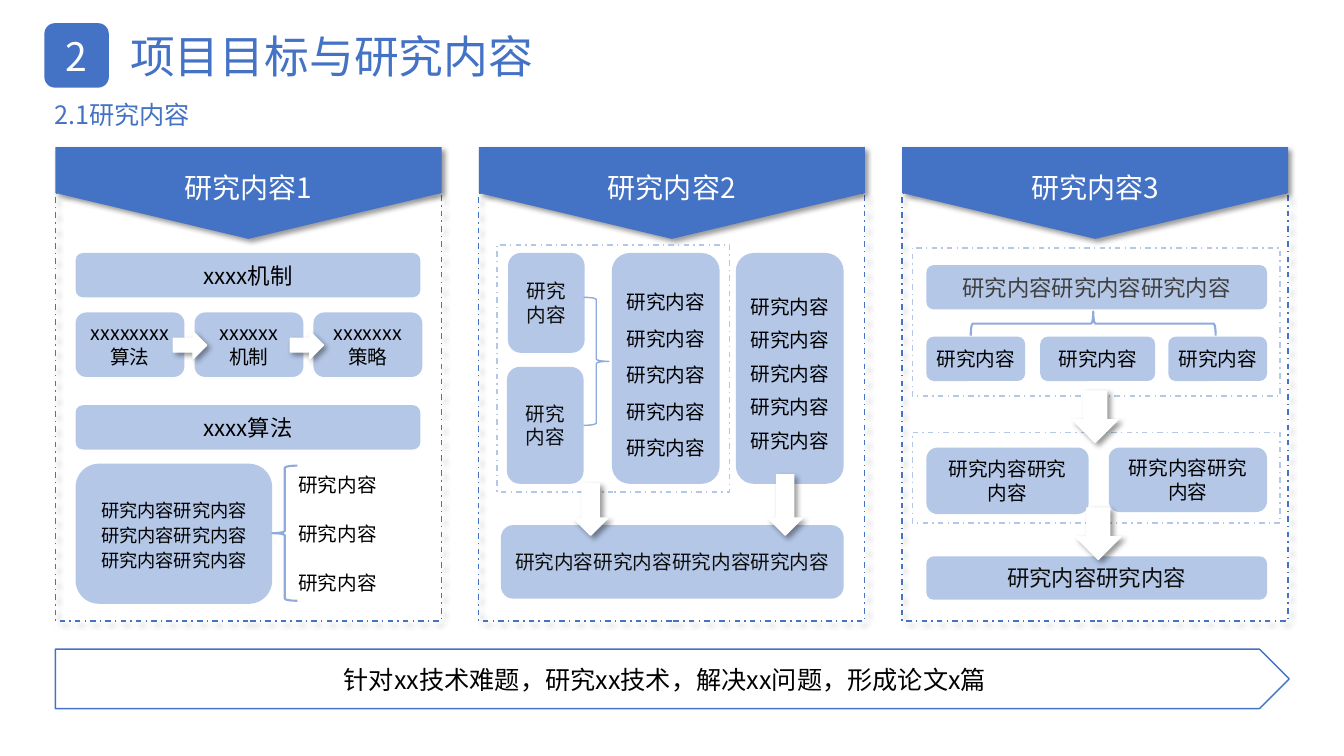
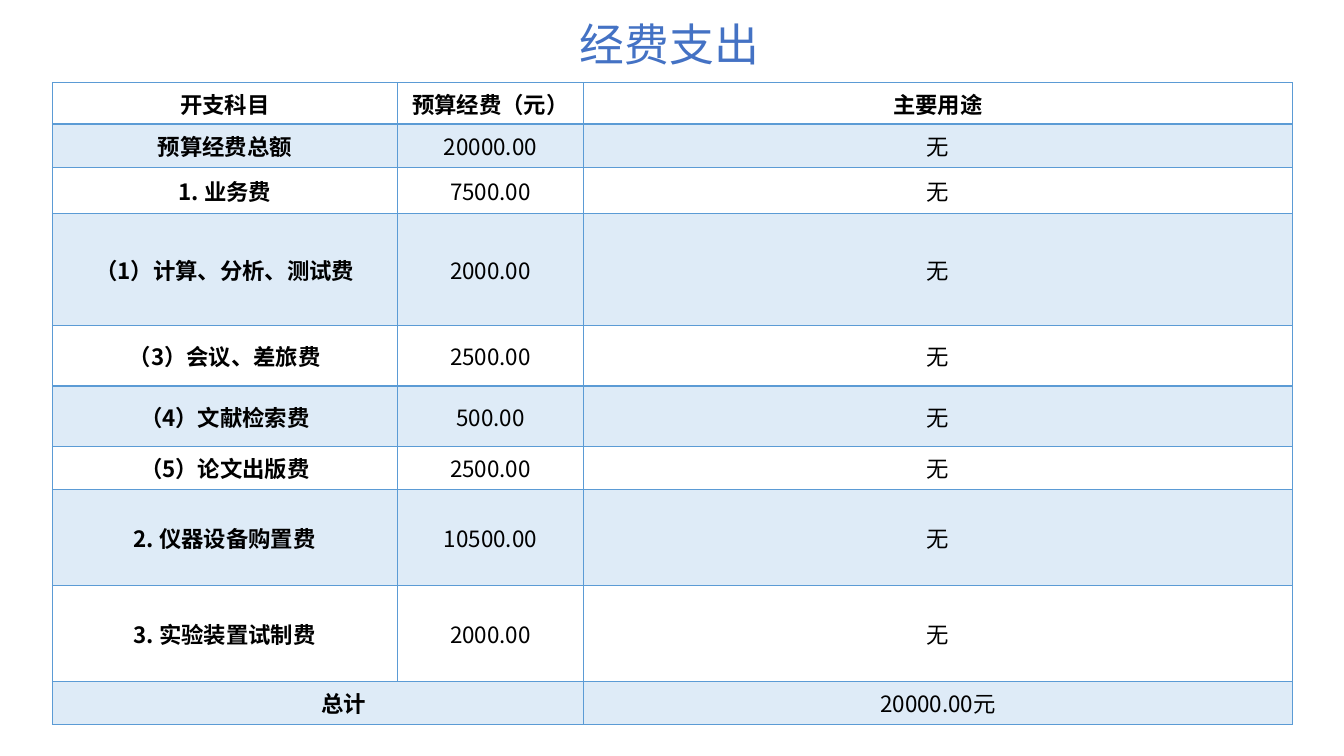
"""Build a research plan slide and a budget slide on a grid of tenth-inch cells."""
from dataclasses import dataclass
from typing import Optional

from lxml import etree
from pptx import Presentation
from pptx.dml.color import RGBColor
from pptx.enum.dml import MSO_LINE
from pptx.enum.shapes import MSO_SHAPE
from pptx.enum.text import MSO_ANCHOR, MSO_AUTO_SIZE, PP_ALIGN
from pptx.oxml.ns import qn
from pptx.util import Emu, Inches, Pt

COLORS = {
    "blue": "4472C4", "pale": "B4C7E7", "brace": "8FAADC", "border": "5B9BD5",
    "band": "DEEBF7", "white": "FFFFFF", "black": "000000", "soft": "0D0D0D", "gray": "404040",
}
FONT = "Noto Sans CJK SC"
GRID = Inches(0.1)
SLIDE_COLUMNS, SLIDE_ROWS = 133.33, 75
TITLE_ONLY = 5

RECTANGLE = MSO_SHAPE.RECTANGLE
ROUNDED = MSO_SHAPE.ROUNDED_RECTANGLE
PENTAGON = MSO_SHAPE.PENTAGON
RIGHT_ARROW, DOWN_ARROW = MSO_SHAPE.RIGHT_ARROW, MSO_SHAPE.DOWN_ARROW
LEFT_BRACE, RIGHT_BRACE = MSO_SHAPE.LEFT_BRACE, MSO_SHAPE.RIGHT_BRACE
DASH_DOT = MSO_LINE.DASH_DOT
MIDDLE = MSO_ANCHOR.MIDDLE
NO_AUTOFIT = MSO_AUTO_SIZE.NONE
LEFT, CENTER = PP_ALIGN.LEFT, PP_ALIGN.CENTER

PANEL_LEFT, PANEL_STEP, PANEL_COLUMNS = 5.5, 42, 38.3
TOPIC = "研究内容"


@dataclass(frozen=True)
class Box:
    """Visible area in grid columns and rows."""
    column: float
    row: float
    columns: float
    rows: float

    def shifted(self, columns: float) -> "Box":
        """Return the box moved right."""
        return Box(self.column + columns, self.row, self.columns, self.rows)


@dataclass(frozen=True)
class Text:
    """One run of text with its paragraph settings."""
    words: str
    size: float = 14
    color: str = "black"
    align: PP_ALIGN = CENTER
    bold: bool = False
    spacing: Optional[float] = None
    inset: float = 1
    indent: float = 0


@dataclass(frozen=True)
class Look:
    """Fill, outline and shadow of a shape."""
    fill: Optional[str] = None
    line: Optional[str] = None
    width: float = 1
    dashed: bool = False
    shadow: bool = False


@dataclass(frozen=True)
class Item:
    """A shape, or a text box when it has no kind."""
    kind: Optional[MSO_SHAPE]
    box: Box
    look: Look = Look()
    text: Optional[Text] = None
    rotation: int = 0


BLOCK = Look(fill="pale")
ARROW = Look(fill="white", line="white", shadow=True)
HEADER = Look(fill="blue", shadow=True)
FRAME = Look(line="blue", dashed=True, shadow=True)
SUBFRAME = Look(line="pale", dashed=True)
BRACE = Look(line="brace", width=1.5)


def grid(cells: float) -> Emu:
    """Convert grid cells to a length."""
    return Emu(round(cells * GRID))


def color(name: str) -> RGBColor:
    """Look up a named colour."""
    return RGBColor.from_string(COLORS[name])


def place(shape, box: Box) -> None:
    """Move and size a shape."""
    shape.left, shape.top = grid(box.column), grid(box.row)
    shape.width, shape.height = grid(box.columns), grid(box.rows)


def write(frame, text: Text) -> None:
    """Write a text as one formatted run."""
    paragraph = frame.paragraphs[0]
    paragraph.alignment = text.align
    paragraph.line_spacing = Pt(text.spacing) if text.spacing else 1.0
    if text.indent:
        paragraph._p.get_or_add_pPr().set("marL", str(grid(text.indent)))
    run = paragraph.add_run()
    run.text = text.words
    run.font.size = Pt(text.size)
    run.font.bold = text.bold
    run.font.color.rgb = color(text.color)
    run.font.name = FONT
    east_asian = etree.SubElement(run.font._element, qn("a:ea"))
    east_asian.set("typeface", FONT)


def fill_frame(shape, text: Text) -> None:
    """Set up a text frame and write into it."""
    frame = shape.text_frame
    frame.word_wrap = True
    frame.auto_size = NO_AUTOFIT
    frame.vertical_anchor = MIDDLE
    frame.margin_left = frame.margin_right = grid(text.inset)
    write(frame, text)


def add_shadow(shape) -> None:
    """Give a shape a soft shadow to the lower right."""
    effects = shape._element.spPr.find(qn("a:effectLst"))
    shadow = etree.SubElement(effects, qn("a:outerShdw"), blurRad=str(Pt(4)), dist=str(Pt(3)),
                              dir="2700000", algn="tl", rotWithShape="0")
    tint = etree.SubElement(shadow, qn("a:srgbClr"), val=COLORS["black"])
    etree.SubElement(tint, qn("a:alpha"), val="40000")


def style(shape, look: Look) -> None:
    """Apply fill, outline and shadow."""
    shape.shadow.inherit = False
    if look.fill:
        shape.fill.solid()
        shape.fill.fore_color.rgb = color(look.fill)
    else:
        shape.fill.background()
    if look.line:
        shape.line.color.rgb = color(look.line)
        shape.line.width = Pt(look.width)
        if look.dashed:
            shape.line.dash_style = DASH_DOT
    else:
        shape.line.fill.background()
    if look.shadow:
        add_shadow(shape)


def add_item(slide, item: Item) -> None:
    """Draw one item, turned about the centre of its visible box."""
    box = item.box
    if item.rotation:
        change = (box.columns - box.rows) / 2
        box = Box(box.column + change, box.row - change, box.rows, box.columns)
    if item.kind is None:
        shape = slide.shapes.add_textbox(0, 0, 0, 0)
    else:
        shape = slide.shapes.add_shape(item.kind, 0, 0, 0, 0)
        style(shape, item.look)
    place(shape, box)
    shape.rotation = item.rotation
    if item.text:
        fill_frame(shape, item.text)


def add_titled_slide(presentation, title: str, box: Box, align: PP_ALIGN):
    """Add a slide with the shared title style."""
    slide = presentation.slides.add_slide(presentation.slide_layouts[TITLE_ONLY])
    place(slide.shapes.title, box)
    fill_frame(slide.shapes.title, Text(title, 32, "blue", align))
    return slide


def block(box: Box, words: str, size: float = 14, tint: str = "black", **options) -> Item:
    """Make a pale rounded block with text."""
    return Item(ROUNDED, box, BLOCK, Text(words, size, tint, **options))


def method_items() -> list[Item]:
    """List the contents of the first panel."""
    steps = [("xxxxxxxx算法", 1), ("xxxxxx机制", 1.4), ("xxxxxxx策略", 1)]
    return [
        block(Box(2, 25.1, 34.2, 4.4), "xxxx机制", 16),
        *(block(Box(2 + 11.8 * i, 31, 10.8, 6.4), words, inset=inset)
          for i, (words, inset) in enumerate(steps)),
        *(Item(RIGHT_ARROW, Box(11.7 + 11.6 * i, 32.9, 3.3, 2.7), ARROW) for i in range(2)),
        block(Box(2, 40.2, 34.2, 4.4), "xxxx算法", 16),
        block(Box(2, 46, 19.5, 13.9), TOPIC * 6, 13, spacing=18, inset=1.5),
        Item(LEFT_BRACE, Box(21.5, 46.2, 2.5, 13.4), BRACE),
        *(Item(None, Box(23.1, 46.4 + 4.85 * i, 14.8, 3.4), text=Text(TOPIC, align=LEFT))
          for i in range(3)),
    ]


def merge_items() -> list[Item]:
    """List the contents of the second panel."""
    return [
        block(Box(2.9, 25.1, 7.6, 9.9), TOPIC, tint="soft"),
        block(Box(2.8, 36.4, 7.6, 11.6), TOPIC, tint="soft"),
        Item(RIGHT_BRACE, Box(10.4, 29.5, 2.5, 12.7), Look(line="brace")),
        block(Box(13.2, 25.1, 10.7, 22.9), TOPIC * 5, spacing=26, inset=0.5),
        block(Box(25.5, 25.1, 10.7, 22.9), TOPIC * 5, spacing=24, inset=0.5),
        Item(RECTANGLE, Box(1.8, 24.3, 23.1, 24.5), SUBFRAME),
        block(Box(2.2, 52.1, 34, 7.3), TOPIC * 4, tint="soft", inset=0.5),
        Item(DOWN_ARROW, Box(9.4, 48, 3.4, 5.1), ARROW),
        Item(DOWN_ARROW, Box(28.7, 47.1, 3.4, 6), ARROW),
    ]


def layer_items() -> list[Item]:
    """List the contents of the third panel."""
    branches = [(2.4, 9.8), (13.7, 11.4), (26.4, 9.8)]
    return [
        block(Box(2.4, 26.3, 33.8, 4.4), TOPIC * 3, 16, "gray"),
        *(block(Box(column, 33.4, columns, 4.4), TOPIC, inset=0.5) for column, columns in branches),
        Item(RECTANGLE, Box(1, 24.6, 36.5, 14.7), SUBFRAME),
        Item(LEFT_BRACE, Box(6.8, 30.9, 24.3, 2.4), BRACE, rotation=90),
        block(Box(2.4, 55.2, 33.8, 4.3), TOPIC * 2, 16, "soft"),
        block(Box(2.4, 44.4, 16.1, 6.6), TOPIC * 2, inset=1.4),
        block(Box(20.5, 44.4, 15.7, 6.4), TOPIC * 2, inset=1.4),
        Item(RECTANGLE, Box(1, 42.9, 36.5, 9), SUBFRAME),
        Item(DOWN_ARROW, Box(17.2, 50.4, 4.5, 5.1), ARROW),
        Item(DOWN_ARROW, Box(16.9, 38.8, 4.5, 5.1), ARROW),
    ]


def add_panel(slide, index: int, items: list[Item]) -> None:
    """Draw a framed panel with its header and contents."""
    frame_items = [
        Item(RECTANGLE, Box(0, 19.2, PANEL_COLUMNS, 42.4), FRAME),
        Item(PENTAGON, Box(0, 14.6, PANEL_COLUMNS, 9.1), HEADER, rotation=90),
        Item(None, Box(0, 16.4, PANEL_COLUMNS, 4.4), text=Text(f"{TOPIC}{index + 1}", 20, "white")),
    ]
    for item in frame_items + items:
        box = item.box.shifted(PANEL_LEFT + PANEL_STEP * index)
        add_item(slide, Item(item.kind, box, item.look, item.text, item.rotation))


def add_research_slide(presentation) -> None:
    """Build the slide of goals and research contents."""
    slide = add_titled_slide(presentation, "项目目标与研究内容", Box(11.9, 2.3, 48.5, 6.4), LEFT)
    add_item(slide, Item(ROUNDED, Box(4.4, 2.3, 6.4, 6.4), Look(fill="blue"), Text("2", 28, "white")))
    add_item(slide, Item(None, Box(4.4, 9.4, 27, 4), text=Text("2.1研究内容", 18, "blue", LEFT)))
    for index, items in enumerate([method_items(), merge_items(), layer_items()]):
        add_panel(slide, index, items)
    conclusion = Text("针对xx技术难题，研究xx技术，解决xx问题，形成论文x篇", 18)
    add_item(slide, Item(PENTAGON, Box(5.5, 64.4, 122.4, 5.9), Look(line="blue"), conclusion))


def add_borders(cell, bottom: float, top: float) -> None:
    """Draw the four borders of a cell."""
    properties = cell._tc.get_or_add_tcPr()
    for position, (side, width) in enumerate([("L", 1), ("R", 1), ("T", top), ("B", bottom)]):
        line = etree.Element(qn(f"a:ln{side}"), w=str(Pt(width)))
        fill = etree.SubElement(line, qn("a:solidFill"))
        etree.SubElement(fill, qn("a:srgbClr"), val=COLORS["border"])
        properties.insert(position, line)


def add_budget_slide(presentation) -> None:
    """Build the slide with the budget table."""
    slide = add_titled_slide(presentation, "经费支出", Box(56.3, 1.1, 20.2, 6.4), CENTER)
    records = [
        ("开支科目", "预算经费（元）", "主要用途"), ("预算经费总额", "20000.00", "无"),
        ("1. 业务费", "7500.00", "无"), ("（1）计算、分析、测试费", "2000.00", "无"),
        ("（3）会议、差旅费", "2500.00", "无"), ("（4）文献检索费", "500.00", "无"),
        ("（5）论文出版费", "2500.00", "无"), ("2. 仪器设备购置费", "10500.00", "无"),
        ("3. 实验装置试制费", "2000.00", "无"), ("总计", "", "20000.00元"),
    ]
    widths = [34.2, 18.5, 70.3]
    heights = [4.1, 4.3, 4.6, 11.1, 6, 6, 4.3, 9.5, 9.5, 4.3]
    table = slide.shapes.add_table(len(heights), len(widths), grid(5.2), grid(8.2),
                                   grid(sum(widths)), grid(sum(heights))).table
    table.first_row = table.horz_banding = False
    for column, width in zip(table.columns, widths):
        column.width = grid(width)
    for i, (record, height) in enumerate(zip(records, heights)):
        table.rows[i].height = grid(height)
        for j, words in enumerate(record):
            cell = table.cell(i, j)
            cell.vertical_anchor = MIDDLE
            cell.margin_left = cell.margin_right = grid(0.7)
            cell.margin_top = cell.margin_bottom = 0
            if i % 2:
                cell.fill.solid()
                cell.fill.fore_color.rgb = color("band")
            else:
                cell.fill.background()
            add_borders(cell, bottom=2 if i == 0 else 1, top=2 if i == 1 else 1)
            if words:
                align, indent = (LEFT, 26) if words == "总计" else (CENTER, 0)
                write(cell.text_frame, Text(words, 16, align=align, bold=0 in (i, j), indent=indent))
    last = len(heights) - 1
    table.cell(last, 0).merge(table.cell(last, 1))


def main() -> None:
    """Build and save the presentation."""
    presentation = Presentation()
    presentation.slide_width, presentation.slide_height = grid(SLIDE_COLUMNS), grid(SLIDE_ROWS)
    add_research_slide(presentation)
    add_budget_slide(presentation)
    presentation.save("out.pptx")


if __name__ == "__main__":
    main()
